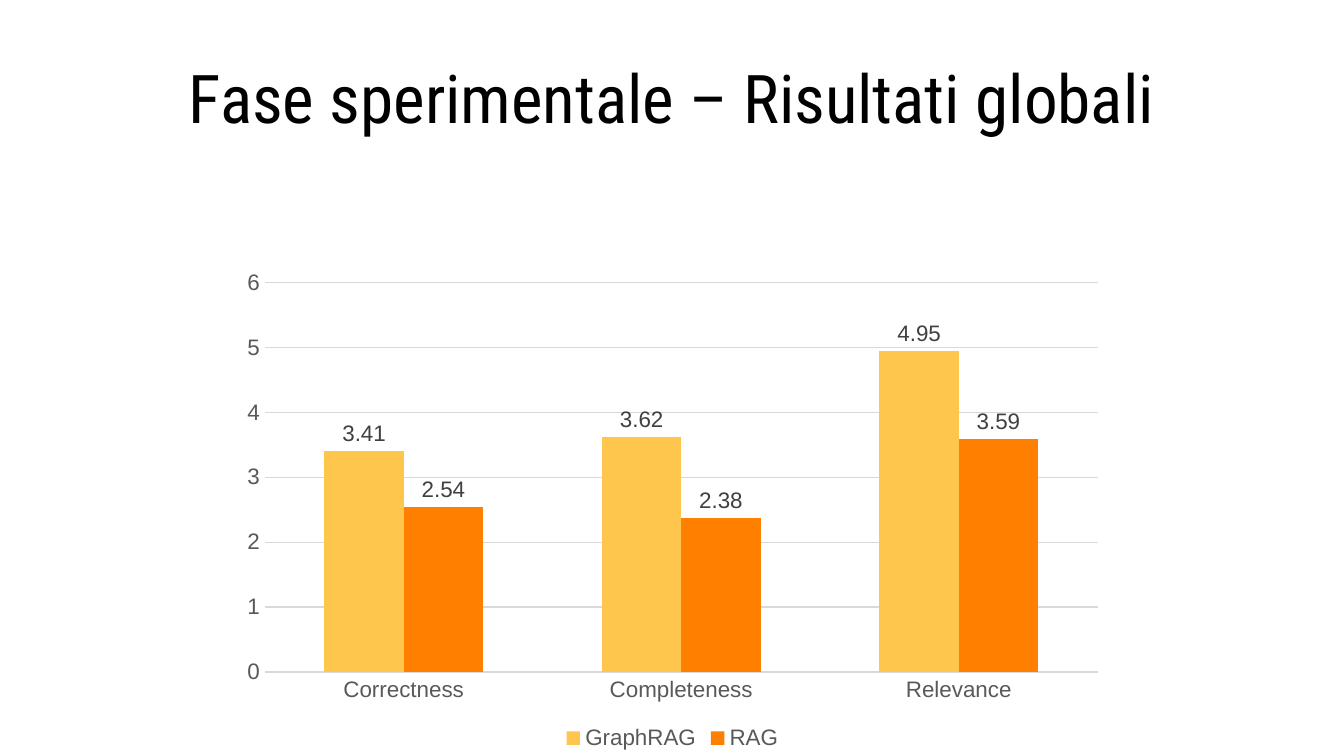
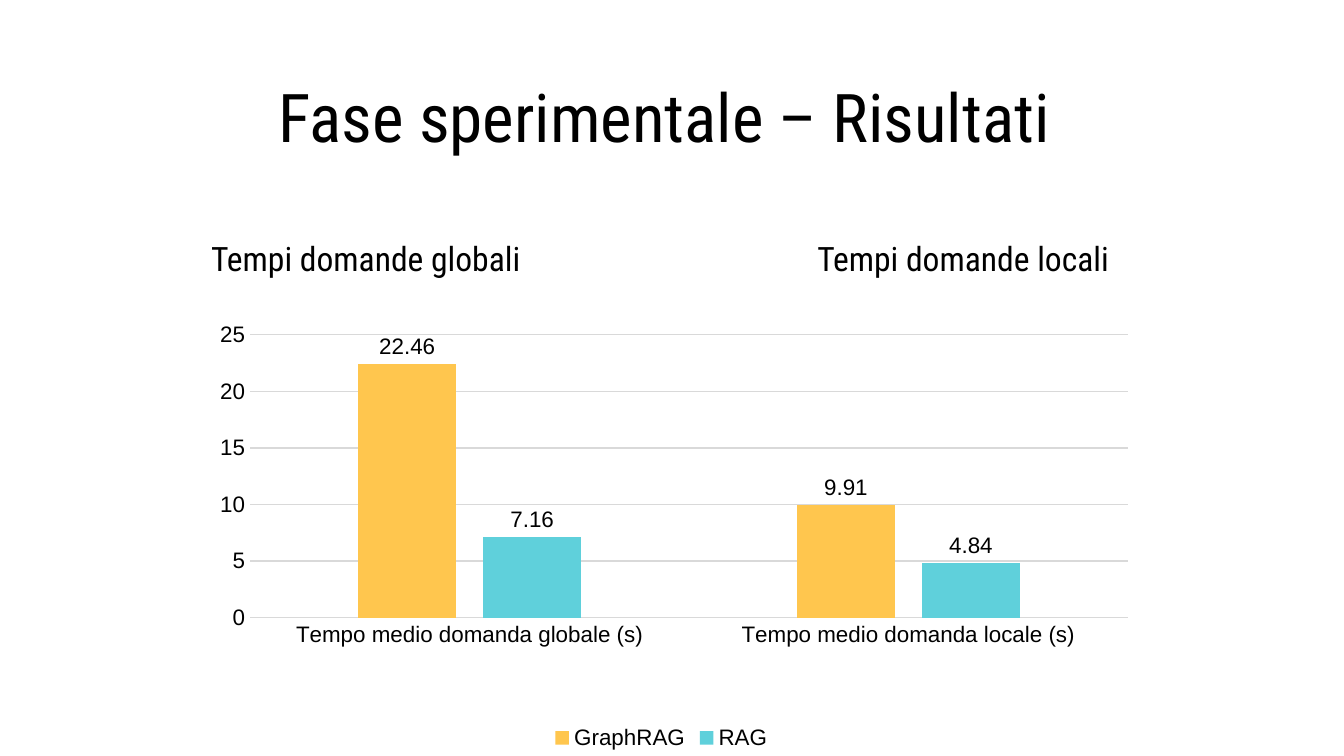
from lxml import etree
from pptx import Presentation
from pptx.chart.data import CategoryChartData
from pptx.dml.color import RGBColor
from pptx.enum.chart import XL_CHART_TYPE as ChartType, XL_LABEL_POSITION as LabelPos
from pptx.enum.chart import XL_LEGEND_POSITION as LegendPos, XL_TICK_MARK as Tick
from pptx.enum.text import MSO_ANCHOR as Anchor, PP_ALIGN as Align
from pptx.oxml.ns import qn
from pptx.util import Pt

# Shared look
TITLE_FONT, CHART_FONT = "Roboto Condensed", "Arial"
BLACK, GRID, YELLOW = "000000", "D9D9D9", "FFC64E"


def color(hex_value):
    return RGBColor.from_string(hex_value)


def add_heading(slide, text, left, top, width, height, size, inset):
    frame = slide.shapes.add_textbox(Pt(left), Pt(top), Pt(width), Pt(height)).text_frame
    frame.word_wrap = True
    frame.vertical_anchor = Anchor.MIDDLE
    frame.margin_top = frame.margin_bottom = Pt(inset)
    line = frame.paragraphs[0]
    line.text = text
    line.alignment = Align.CENTER
    line.font.name, line.font.size = TITLE_FONT, Pt(size)
    line.font.color.rgb = color(BLACK)


prs = Presentation()
prs.slide_width, prs.slide_height = Pt(720), Pt(405)

# Content of the two slides
results = [
    {
        "title": "Fase sperimentale – Risultati globali", "title_top": 33,
        "subtitles": [],
        "box": (123, 139.7, 474.5, 265),
        "categories": ["Correctness", "Completeness", "Relevance"],
        "series": [("GraphRAG", [3.41, 3.62, 4.95], YELLOW),
                   ("RAG", [2.54, 2.38, 3.59], "FF8001")],
        "axis_color": "595959", "label_color": "404040", "base_line": False,
        "maximum": 6, "step": 1, "gap": 150, "overlap": 0, "plot_area": None,
    },
    {
        "title": "Fase sperimentale – Risultati ", "title_top": 43,
        "subtitles": ["Tempi domande globali", "Tempi domande locali"],
        "box": (102.2, 166.3, 507.6, 238.3),
        "categories": ["Tempo medio domanda globale (s)", "Tempo medio domanda locale (s)"],
        "series": [("GraphRAG", [22.46, 9.91], YELLOW),
                   ("RAG ", [7.16, 4.84], "5FD0DB")],
        "axis_color": BLACK, "label_color": BLACK, "base_line": True,
        "maximum": 25, "step": 5, "gap": 219, "overlap": -27,
        "plot_area": {"x": 0.063, "y": 0.055, "w": 0.926, "h": 0.636},
    },
]

for result in results:
    slide = prs.slides.add_slide(prs.slide_layouts[6])

    # Title and subtitles
    add_heading(slide, result["title"], 36, result["title_top"], 648, 38, 36, 7.2)
    for column, subtitle in enumerate(result["subtitles"]):
        add_heading(slide, subtitle, 36 + 320 * column, 124, 320, 29, 18, 3.6)

    # Column chart
    data = CategoryChartData()
    data.categories = result["categories"]
    for name, values, _ in result["series"]:
        data.add_series(name, values)
    chart = slide.shapes.add_chart(
        ChartType.COLUMN_CLUSTERED, *map(Pt, result["box"]), data).chart
    chart.has_title = False
    chart.font.name, chart.font.size = CHART_FONT, Pt(10)
    chart.font.color.rgb = color(BLACK)
    chart.has_legend = True
    chart.legend.position = LegendPos.BOTTOM
    chart.legend.include_in_layout = False

    # Axes and grid
    scale, groups = chart.value_axis, chart.category_axis
    for part in (scale.tick_labels, groups.tick_labels, chart.legend):
        part.font.name, part.font.size = CHART_FONT, Pt(12)
        part.font.color.rgb = color(result["axis_color"])
    for axis in (scale, groups):
        axis.major_tick_mark = axis.minor_tick_mark = Tick.NONE
        axis.format.line.fill.background()
    scale.minimum_scale, scale.maximum_scale = 0, result["maximum"]
    scale.major_unit = result["step"]
    scale.has_major_gridlines = True
    grey_lines = [scale.major_gridlines.format.line]
    if result["base_line"]:
        grey_lines.append(groups.format.line)
    for grey_line in grey_lines:
        grey_line.color.rgb = color(GRID)
        grey_line.width = Pt(0.75)

    # Columns and their values
    plot = chart.plots[0]
    plot.vary_by_categories = False
    plot.gap_width, plot.overlap = result["gap"], result["overlap"]
    for series, (_, _, fill) in zip(plot.series, result["series"]):
        series.format.fill.solid()
        series.format.fill.fore_color.rgb = color(fill)
        labels = series.data_labels
        labels.show_value = True
        labels.position = LabelPos.OUTSIDE_END
        labels.font.name, labels.font.size = CHART_FONT, Pt(12)
        labels.font.color.rgb = color(result["label_color"])

    # Fixed inner plot area
    if result["plot_area"]:
        area = chart.element.find(".//" + qn("c:plotArea"))
        layout = area.find(qn("c:layout"))
        if layout is None:
            layout = etree.Element(qn("c:layout"))
            area.insert(0, layout)
        manual = etree.SubElement(layout, qn("c:manualLayout"))
        settings = {"layoutTarget": "inner", "xMode": "edge", "yMode": "edge",
                    **result["plot_area"]}
        for tag, value in settings.items():
            etree.SubElement(manual, qn(f"c:{tag}")).set("val", str(value))

prs.save("out.pptx")
